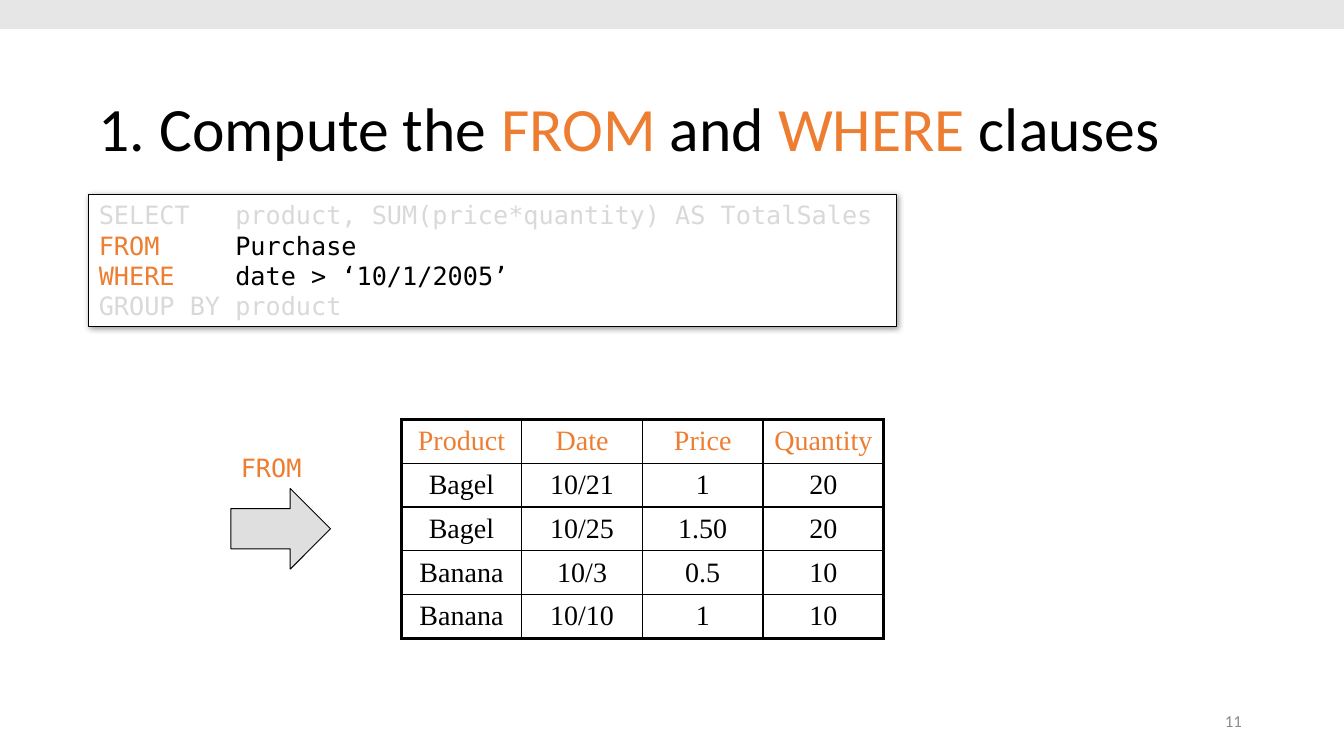
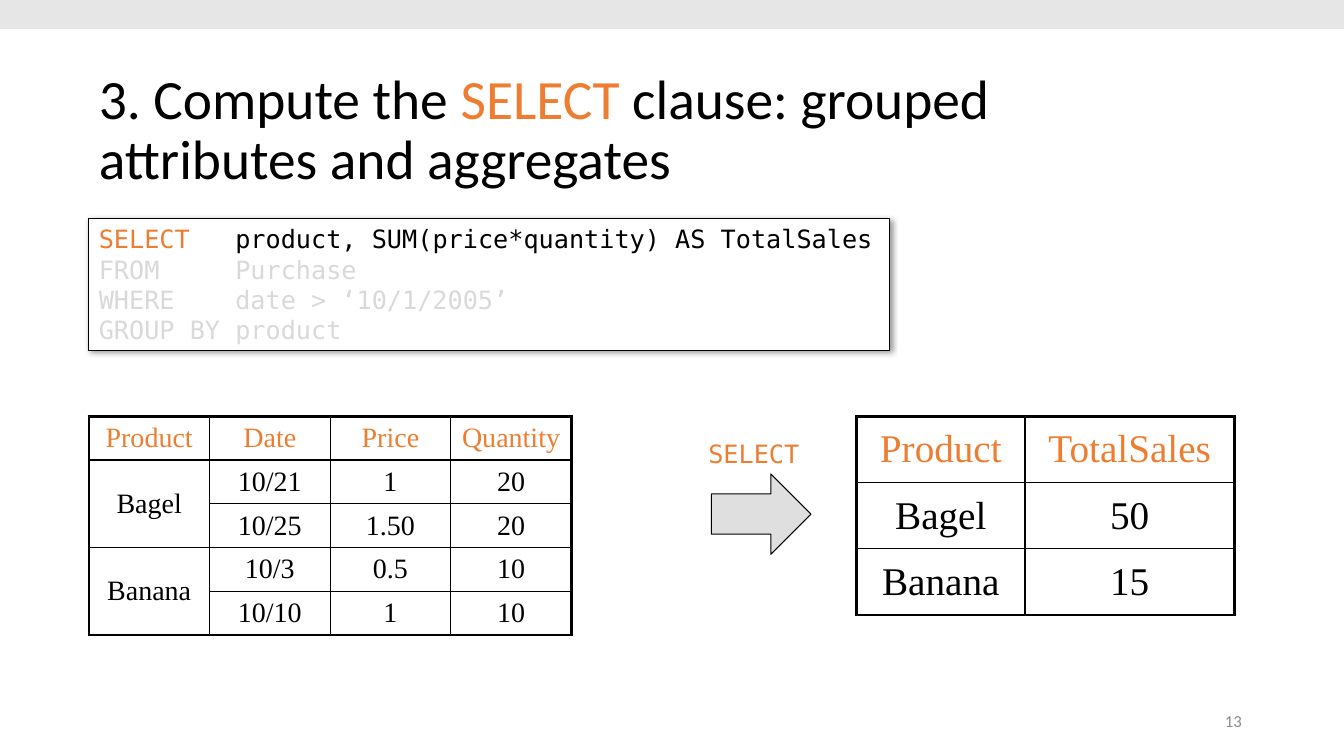
"""Build two slides that trace how a grouped SQL query is evaluated."""
from lxml.etree import SubElement
from pptx import Presentation
from pptx.dml.color import RGBColor
from pptx.enum.shapes import MSO_SHAPE
from pptx.enum.text import MSO_ANCHOR, PP_ALIGN
from pptx.oxml import parse_xml
from pptx.oxml.ns import nsdecls, qn
from pptx.util import Cm, Pt

COLORS = {
    "ink": "000000",
    "accent": "ED7D31",
    "faded": "D9D9D9",
    "number": "8C8C8C",
    "band": "E7E6E6",
    "arrow": "C0C0C0",
    "paper": "FFFFFF",
}
SANS, MONO, SERIF = "Calibri", "DejaVu Sans Mono", "Times New Roman"
WIDTH, HEIGHT, LEFT = 33.87, 19.05, 2.24
THICK, THIN = 2.25, 1

TITLE = {"anchor": MSO_ANCHOR.MIDDLE, "line_spacing": 0.9, "name": SANS}
NUMBER = {"anchor": MSO_ANCHOR.MIDDLE, "align": PP_ALIGN.RIGHT, "name": SANS, "size": 12}
CODE = {"align": PP_ALIGN.LEFT, "anchor": MSO_ANCHOR.TOP, "name": MONO, "size": 18}
LABEL = {"wrap": False, "name": MONO, "size": 18}
CELL = {"align": PP_ALIGN.CENTER, "name": SERIF}

CLAUSES = [
    ("SELECT", "product, SUM(price*quantity) AS TotalSales"),
    ("FROM", "Purchase"),
    ("WHERE", "date > ‘10/1/2005’"),
    ("GROUP BY", "product"),
]
HEADER = ["Product", "Date", "Price", "Quantity"]
PURCHASES = [
    HEADER,
    ["Bagel", "10/21", "1", "20"],
    ["Bagel", "10/25", "1.50", "20"],
    ["Banana", "10/3", "0.5", "10"],
    ["Banana", "10/10", "1", "10"],
]
GROUPED = [
    HEADER,
    ["Bagel", "10/21", "1", "20"],
    ["", "10/25", "1.50", "20"],
    ["Banana", "10/3", "0.5", "10"],
    ["", "10/10", "1", "10"],
]
TOTALS = [["Product", "TotalSales"], ["Bagel", "50"], ["Banana", "15"]]


def rgb(color):
    return RGBColor.from_string(COLORS[color])


def apply(obj, values):
    for key, value in values.items():
        setattr(obj, key, value)


def write(tf, lines, fmt):
    tf.word_wrap = fmt.get("wrap", True)
    tf.vertical_anchor = fmt.get("anchor", MSO_ANCHOR.TOP)
    for i, runs in enumerate(lines):
        p = tf.add_paragraph() if i else tf.paragraphs[0]
        apply(p, {"alignment": fmt.get("align", PP_ALIGN.LEFT),
                  "line_spacing": fmt.get("line_spacing", 1.0)})
        for text, color in runs:
            r = p.add_run()
            r.text = text
            apply(r.font, {"name": fmt["name"], "size": Pt(fmt["size"])})
            r.font.color.rgb = rgb(color)


def add_text(s, box, lines, fmt):
    sp = s.shapes.add_textbox(*map(Cm, box))
    write(sp.text_frame, lines, fmt)


def add_block(s, kind, box, fill, outlined=True):
    sp = s.shapes.add_shape(kind, *map(Cm, box))
    sp.shadow.inherit = False
    sp.fill.solid()
    sp.fill.fore_color.rgb = rgb(fill)
    if outlined:
        sp.line.color.rgb = rgb("ink")
        sp.line.width = Pt(0.75)
    else:
        sp.line.fill.background()
    return sp


def add_base(prs, number, title, size):
    s = prs.slides.add_slide(prs.slide_layouts[6])
    add_block(s, MSO_SHAPE.RECTANGLE, (0, 0, WIDTH, 0.73), "band", False)
    add_text(s, (LEFT, 1.73, 27.91, 3.18), [title], {**TITLE, "size": size})
    add_text(s, (23.93, 17.65, 7.62, 1.01), [[(number, "number")]], NUMBER)
    return s


def add_query(s, top, width, active):
    sp = add_block(s, MSO_SHAPE.RECTANGLE, (LEFT, top, width, 3.33), "paper")
    effects = sp._element.spPr.find(qn("a:effectLst"))
    effects.append(parse_xml(
        f'<a:outerShdw {nsdecls("a")} blurRad="50800" dist="12700" dir="2700000" '
        f'algn="tl" rotWithShape="0"><a:srgbClr val="{COLORS["ink"]}">'
        '<a:alpha val="40000"/></a:srgbClr></a:outerShdw>'))
    lines = []
    for keyword, body in CLAUSES:
        pair = ("accent", "ink") if keyword in active else ("faded", "faded")
        lines.append(list(zip((keyword.ljust(9), body), pair)))
    write(sp.text_frame, lines, CODE)


def add_step(s, arrow_at, label_at, keyword, label_width):
    sp = add_block(s, MSO_SHAPE.RIGHT_ARROW, (*arrow_at, 2.51, 2.03), "arrow")
    sp.adjustments[1] = 0.5
    color = sp._element.spPr.find(qn("a:solidFill"))[0]
    SubElement(color, qn("a:alpha"), val="50000")
    add_text(s, (*label_at, label_width, 1.01), [[(keyword, "accent")]], LABEL)


def set_borders(cell, widths):
    tcPr = cell._tc.get_or_add_tcPr()
    for i, (side, width) in enumerate(widths.items()):
        paint = (f'<a:solidFill><a:srgbClr val="{COLORS["ink"]}"/></a:solidFill>'
                 if width else "<a:noFill/>")
        tcPr.insert(i, parse_xml(
            f'<a:ln{side} {nsdecls("a")} w="{int(Pt(width))}">{paint}</a:ln{side}>'))


def add_grid(s, left, top, cols, row_height, rows, size, merges=()):
    n, m = len(rows), len(cols)
    frame = s.shapes.add_table(n, m, *map(Cm, (left, top, sum(cols), n * row_height)))
    table = frame.table
    apply(table, {"first_row": False, "horz_banding": False})
    for column, width in zip(table.columns, cols):
        column.width = Cm(width)
    for row in table.rows:
        row.height = Cm(row_height)
    for first, last in merges:
        table.cell(first, 0).merge(table.cell(last, 0))
    for i, row in enumerate(rows):
        for j, text in enumerate(row):
            cell = table.cell(i, j)
            cell.fill.background()
            cell.vertical_anchor = MSO_ANCHOR.MIDDLE
            if text:
                color = "ink" if i else "accent"
                write(cell.text_frame, [[(text, color)]],
                      {**CELL, "size": size, "anchor": MSO_ANCHOR.MIDDLE})
            end = i + (cell.span_height if cell.is_merge_origin else 1)
            set_borders(cell, {
                "L": THIN if j else THICK,
                "R": THIN if j < m - 1 else THICK,
                "T": 0 if cell.is_spanned else THIN if i else THICK,
                "B": THIN if end < n else THICK,
            })


def add_from_where(prs):
    title = [("1. Compute the ", "ink"), ("FROM", "accent"), (" and ", "ink"),
             ("WHERE", "accent"), (" clauses", "ink")]
    s = add_base(prs, "11", title, 44)
    add_query(s, 4.91, 20.35, {"FROM", "WHERE"})
    add_step(s, (5.82, 12.31), (5.82, 11.28), "FROM", 2.06)
    add_grid(s, 10.11, 10.57, [3.04] * 4, 1.07, PURCHASES, 20)


def add_select(prs):
    title = [("3. Compute the ", "ink"), ("SELECT", "accent"),
             (" clause: grouped attributes and aggregates", "ink")]
    s = add_base(prs, "13", title, 39.6)
    add_query(s, 5.51, 20.19, {"SELECT"})
    add_grid(s, LEFT, 10.49, [3.04] * 4, 1.1, GROUPED, 20, [(1, 2), (3, 4)])
    add_step(s, (17.93, 11.94), (17.6, 10.92), "SELECT", 2.82)
    add_grid(s, 21.59, 10.49, [4.24, 5.28], 1.67, TOTALS, 28)


def main():
    prs = Presentation()
    apply(prs, {"slide_width": Cm(WIDTH), "slide_height": Cm(HEIGHT)})
    add_from_where(prs)
    add_select(prs)
    prs.save("out.pptx")


if __name__ == "__main__":
    main()
